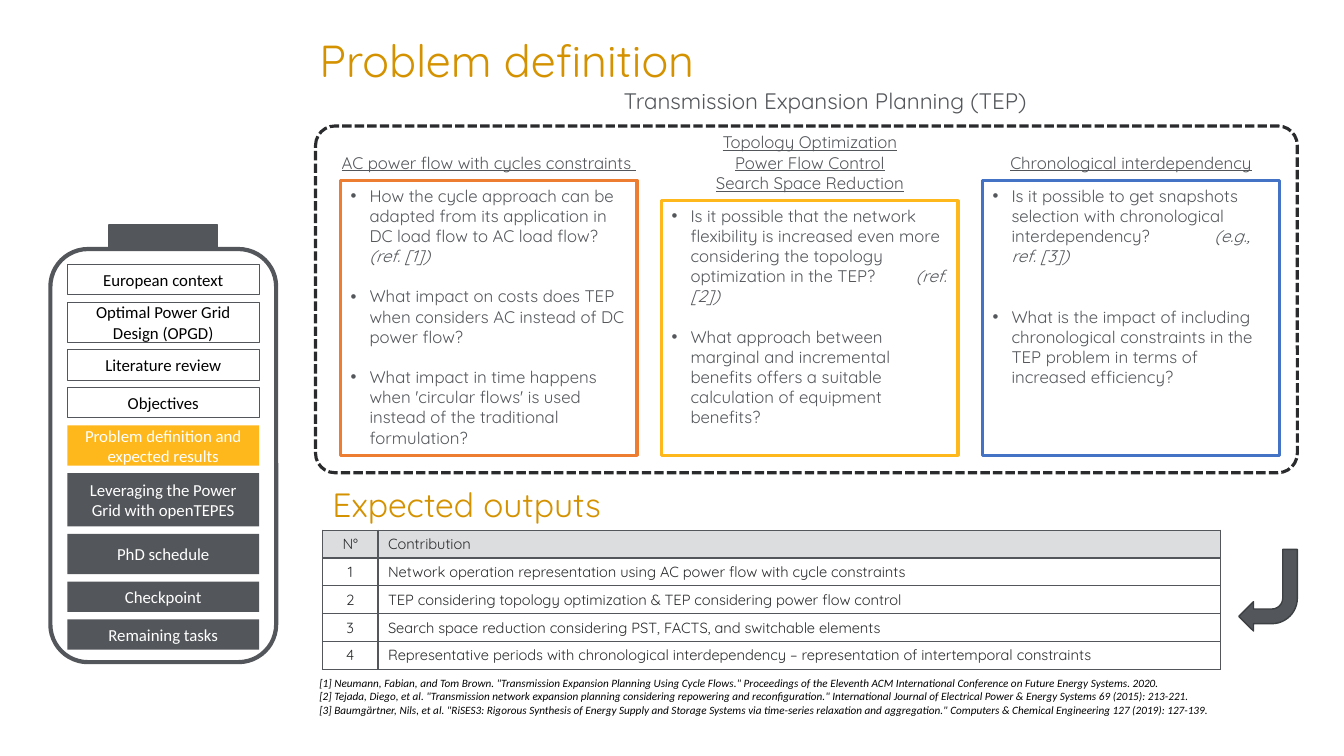
from dataclasses import dataclass
from lxml.etree import SubElement
from pptx import Presentation
from pptx.dml.color import RGBColor
from pptx.enum.dml import MSO_LINE
from pptx.enum.shapes import MSO_SHAPE
from pptx.enum.text import MSO_ANCHOR, PP_ALIGN
from pptx.oxml.ns import qn
from pptx.util import Pt


@dataclass(frozen=True)
class Theme:
    heading_font: str = "Quicksand"
    body_font: str = "Calibri"
    gold: str = "D49200"
    slate: str = "53565A"
    slate_edge: str = "3D4043"
    charcoal: str = "2A2B2D"
    header_gray: str = "DCDDDF"
    orange: str = "ED7D31"
    yellow: str = "FFB81C"
    blue: str = "4472C4"
    white: str = "FFFFFF"
    black: str = "000000"
    title: float = 32
    section: float = 24
    subtitle: float = 16
    body: float = 12
    cell: float = 10.5
    reference: float = 8


THEME = Theme()
LINE_HEIGHT = 14.4

AGENDA = [  # topic, height
    ("European context", 21.6), ("Optimal Power Grid Design (OPGD)", 28.8),
    ("Literature review", 21.6), ("Objectives", 21.6),
    ("Problem definition and expected results", 28.8),
    ("Leveraging the Power Grid with openTEPES", 38.2), ("PhD schedule", 28.8),
    ("Checkpoint", 21.6), ("Remaining tasks", 21.6),
]
CURRENT_TOPIC = 4

QUESTIONS = [  # heading, colour, blank lines between, tab stop, (question, reference)
    ("AC power flow with cycles constraints ", THEME.orange, 1, None, [
        ("How the cycle approach can be adapted from its application in DC load flow "
         "to AC load flow? ", "(ref. [1])"),
        ("What impact on costs does TEP when considers AC instead of DC power flow?", ""),
        ("What impact in time happens when 'circular flows' is used instead of the "
         "traditional formulation?", "")]),
    ("Topology Optimization\nPower Flow Control\nSearch Space Reduction", THEME.yellow, 1, 174.5, [
        ("Is it possible that the network flexibility is increased even more considering "
         "the topology optimization in the TEP?\t", "(ref. [2])"),
        ("What approach between marginal and incremental benefits offers a suitable "
         "calculation of equipment benefits?", "")]),
    ("Chronological interdependency", THEME.blue, 2, 158.5, [
        ("Is it possible to get snapshots selection with chronological "
         "interdependency?\t", "(e.g., ref. [3])"),
        ("What is the impact of including chronological constraints in the TEP problem "
         "in terms of increased efficiency?", "")]),
]

CONTRIBUTIONS = [
    "Network operation representation using AC power flow with cycle constraints",
    "TEP considering topology optimization & TEP considering power flow control",
    "Search space reduction considering PST, FACTS, and switchable elements",
    "Representative periods with chronological interdependency – representation of "
    "intertemporal constraints",
]

REFERENCES = """\
[1] Neumann, Fabian, and Tom Brown. "Transmission Expansion Planning Using Cycle Flows." \
Proceedings of the Eleventh ACM International Conference on Future Energy Systems. 2020.
[2] Tejada, Diego, et al. "Transmission network expansion planning considering repowering and \
reconfiguration." International Journal of Electrical Power & Energy Systems 69 (2015): 213-221.
[3] Baumgärtner, Nils, et al. "RiSES3: Rigorous Synthesis of Energy Supply and Storage Systems \
via time-series relaxation and aggregation." Computers & Chemical Engineering 127 (2019): 127-139."""


def rgb(color):
    return RGBColor.from_string(color)


def style_text(frame, size, color, font=THEME.heading_font, align=PP_ALIGN.LEFT,
               italic=None, underline=None):
    for paragraph in frame.paragraphs:
        paragraph.alignment = align
        for run in paragraph.runs:
            run.font.name, run.font.size = font, Pt(size)
            run.font.color.rgb = rgb(color)
            if italic is not None:
                run.font.italic = italic
            run.font.underline = underline


def add_label(slide, box, text, size, color, wrap=False, **style):
    frame = slide.shapes.add_textbox(*map(Pt, box)).text_frame
    frame.word_wrap = wrap
    frame.text = text
    style_text(frame, size, color, **style)


def add_block(shapes, kind, box, fill=None, line=None, weight=1):
    block = shapes.add_shape(kind, *map(Pt, box))
    block.shadow.inherit = False
    if fill:
        block.fill.solid()
        block.fill.fore_color.rgb = rgb(fill)
    else:
        block.fill.background()
    if line:
        block.line.color.rgb = rgb(line)
        block.line.width = Pt(weight)
    else:
        block.line.fill.background()
    return block


def format_bullet(paragraph, tab_stop):
    properties = paragraph._p.get_or_add_pPr()
    properties.set("marL", str(Pt(13.5)))
    properties.set("indent", str(-Pt(13.5)))
    SubElement(properties, qn("a:buFont"), typeface="Arial")
    SubElement(properties, qn("a:buChar"), char="•")
    if tab_stop:
        tabs = SubElement(properties, qn("a:tabLst"))
        SubElement(tabs, qn("a:tab"), pos=str(Pt(tab_stop)), algn="l")


def draw_title(slide, left, top, width, height):
    title = slide.shapes.title
    title.left, title.top, title.width, title.height = map(Pt, (left, top, width, height))
    frame = title.text_frame
    frame.text = "Problem definition"
    frame.vertical_anchor = MSO_ANCHOR.TOP
    frame.paragraphs[0].line_spacing = 0.9
    style_text(frame, THEME.title, THEME.gold)


def draw_agenda(slide, left, top, width, height):
    shapes = slide.shapes.add_group_shape().shapes
    # Battery outline and terminal
    terminal = 17.3
    add_block(shapes, MSO_SHAPE.ROUNDED_RECTANGLE,
              (left, top + terminal, width, height - terminal), line=THEME.slate, weight=3)
    add_block(shapes, MSO_SHAPE.RECTANGLE, (left + 41.8, top, width - 83.6, terminal),
              THEME.slate, THEME.slate)
    # Topics: done, current, still to come
    y = top + 28.4
    for index, (topic, topic_height) in enumerate(AGENDA):
        if index < CURRENT_TOPIC:
            fill, line, color = None, THEME.slate, THEME.black
        else:
            fill = THEME.yellow if index == CURRENT_TOPIC else THEME.slate
            line, color = None, THEME.white
        block = add_block(shapes, MSO_SHAPE.RECTANGLE,
                          (left + 12.2, y, width - 24.4, topic_height), fill, line, 0.75)
        block.text_frame.word_wrap = True
        block.text_frame.vertical_anchor = MSO_ANCHOR.MIDDLE
        block.text_frame.text = topic
        style_text(block.text_frame, THEME.body, color, THEME.body_font, PP_ALIGN.CENTER)
        y += topic_height + 5.3


def draw_questions(slide, left, top, width, height):
    add_label(slide, (left + 213, top - 31.4, 304, 26.6),
              "Transmission Expansion Planning (TEP)", THEME.subtitle, THEME.slate)
    frame_shape = add_block(slide.shapes, MSO_SHAPE.ROUNDED_RECTANGLE,
                            (left, top, width, height), line=THEME.charcoal, weight=2.25)
    frame_shape.adjustments[0] = 0.056
    frame_shape.line.dash_style = MSO_LINE.SQUARE_DOT
    # One column per research topic; headings reach past the cards on both sides
    column_width, pitch, overhang, bottom = 211.7, 229.3, 16, top + height - 12.4
    for index, (heading, color, blanks, tab_stop, questions) in enumerate(QUESTIONS):
        x = left + 18 + index * pitch
        heading_height = 7.2 + LINE_HEIGHT * len(heading.split("\n"))
        y = top + (53.3 if "\n" in heading else 38.9)
        add_label(slide, (x - overhang, y - heading_height - 2,
                          column_width + 2 * overhang, heading_height), heading,
                  THEME.body, THEME.slate, align=PP_ALIGN.CENTER, underline=True)
        card = add_block(slide.shapes, MSO_SHAPE.RECTANGLE, (x, y, column_width, bottom - y),
                         THEME.white, color, 2.25)
        frame = card.text_frame
        frame.word_wrap = True
        frame.vertical_anchor = MSO_ANCHOR.TOP
        frame.text = "\n".join(question for question, _ in questions)
        for number, (paragraph, (_, reference)) in enumerate(zip(frame.paragraphs, questions)):
            format_bullet(paragraph, tab_stop)
            if number:
                paragraph.space_before = Pt(blanks * LINE_HEIGHT)
            if reference:
                citation = paragraph.add_run()
                citation.text = reference
                citation.font.italic = True
        style_text(frame, THEME.body, THEME.slate)


def format_cell(cell, text, fill, align):
    cell.text = text
    cell.vertical_anchor = MSO_ANCHOR.MIDDLE
    cell.margin_top = cell.margin_bottom = Pt(2)
    style_text(cell.text_frame, THEME.cell, THEME.charcoal, align=align)
    properties = cell._tc.get_or_add_tcPr()
    for side in ("lnL", "lnR", "lnT", "lnB"):
        border = SubElement(properties, qn(f"a:{side}"), w=str(Pt(1)))
        SubElement(SubElement(border, qn("a:solidFill")), qn("a:srgbClr"), val=THEME.slate)
    cell.fill.solid()
    cell.fill.fore_color.rgb = rgb(fill)


def draw_outputs(slide, left, top, width, height):
    add_label(slide, (left, top - 36.7, 222.5, 36), "Expected outputs", THEME.section, THEME.gold)
    # Contribution table
    rows = [("N°", "Contribution")] + [(str(n), c) for n, c in enumerate(CONTRIBUTIONS, 1)]
    table = slide.shapes.add_table(len(rows), 2, *map(Pt, (left, top, width, height))).table
    table.columns[0].width, table.columns[1].width = Pt(39.6), Pt(width - 39.6)
    for r, row in enumerate(rows):
        table.rows[r].height = Pt(height / len(rows))
        for c, text in enumerate(row):
            format_cell(table.cell(r, c), text, THEME.white if r else THEME.header_gray,
                        PP_ALIGN.LEFT if c else PP_ALIGN.CENTER)
    # Arrow from the questions to the table
    arrow = add_block(slide.shapes, MSO_SHAPE.BENT_ARROW,
                      (left + width + 13, top + 13.7, 41.8, 58.3), THEME.slate, THEME.slate_edge)
    arrow.rotation = 180


def main():
    deck = Presentation()
    deck.slide_width, deck.slide_height = Pt(960), Pt(540)
    slide = deck.slides.add_slide(deck.slide_layouts[5])
    draw_title(slide, 221, 23.8, 721.4, 49.7)
    draw_agenda(slide, 36, 160.6, 161.3, 312.4)
    draw_questions(slide, 225.4, 90, 701.3, 247.7)
    draw_outputs(slide, 230.4, 378.7, 641.5, 99.4)
    add_label(slide, (221, 479.5, 739, 36), REFERENCES, THEME.reference, THEME.black,
              wrap=True, font=THEME.body_font, italic=True)
    deck.save("out.pptx")


if __name__ == "__main__":
    main()
